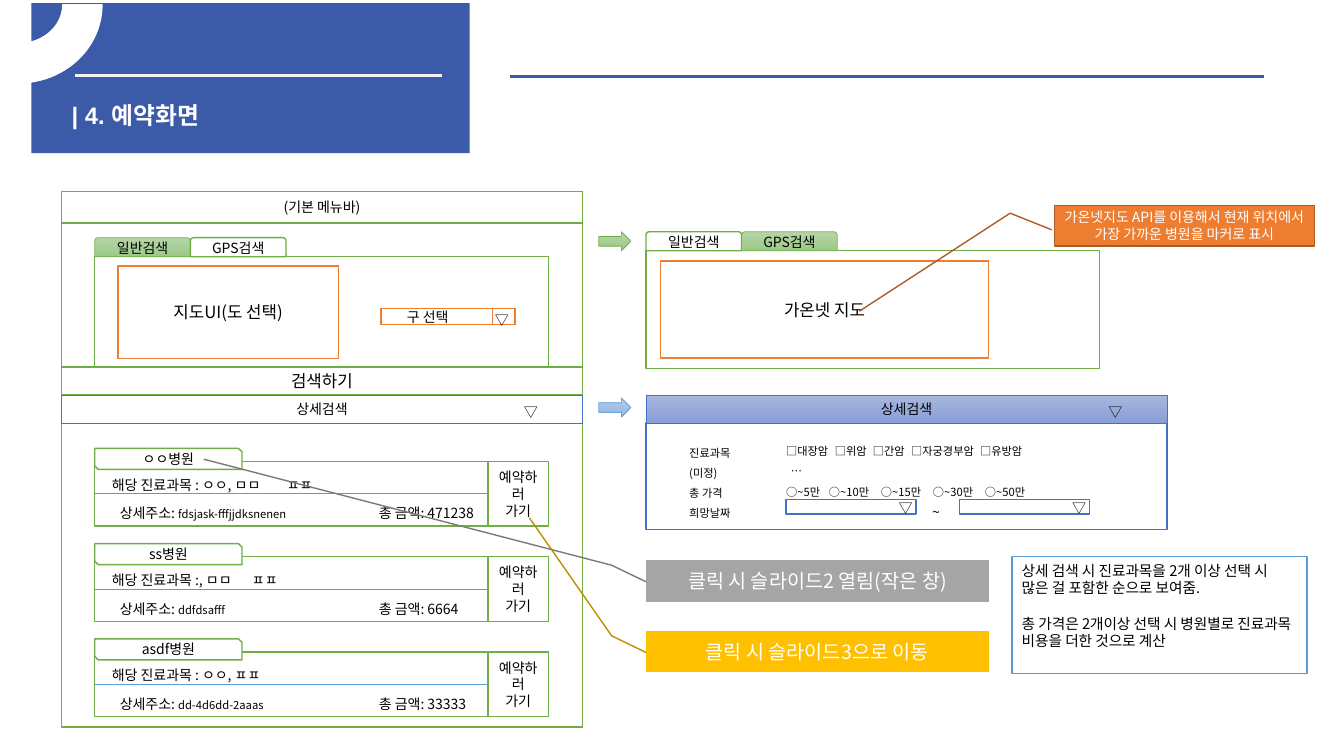
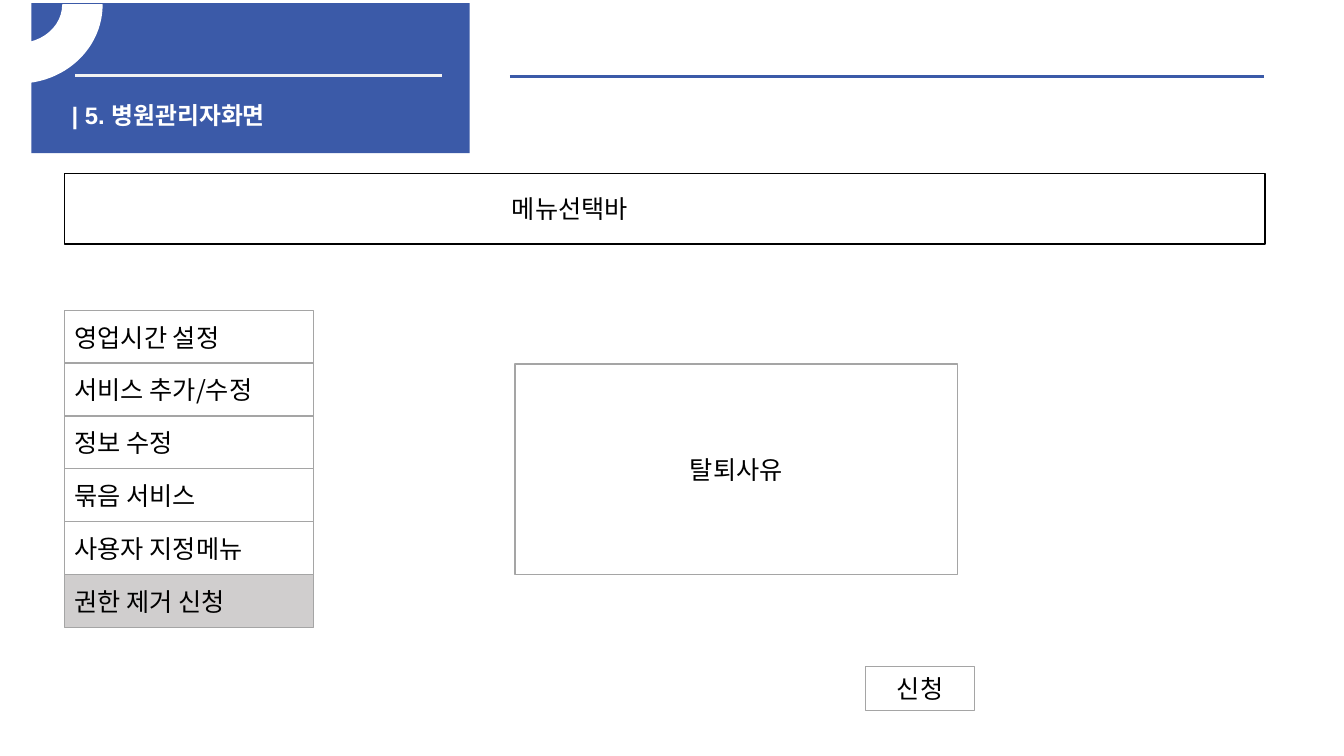
from dataclasses import dataclass

from lxml.etree import SubElement
from pptx import Presentation
from pptx.dml.color import RGBColor
from pptx.enum.shapes import MSO_CONNECTOR, MSO_SHAPE
from pptx.enum.text import MSO_ANCHOR, PP_ALIGN
from pptx.oxml.ns import qn
from pptx.util import Cm, Pt

BODY_FONT = "Noto Sans CJK KR"
TITLE_FONT = "Arial"
LINE_PITCH = 1.2

COLORS = {
    "band": "3B5AA8", "band_rule": "F2F2F2", "white": "FFFFFF", "black": "000000",
    "green": "70AD47", "blue": "4472C4", "sky": "5B9BD5", "orange": "ED7D31",
    "rust": "AF5C24", "gray": "A5A5A5", "dark_gray": "7A7A7A", "pale_gray": "D0CECE",
    "gold": "FFC000", "dark_gold": "BD8E00",
}
GRADIENTS = {
    "green_shade": ("B5D5A7", "9CC987"),
    "blue_shade": ("A8B7DF", "889ED7"),
    "sky_shade": ("B1CBE9", "93B9E4"),
}


@dataclass
class Box:
    """A rectangle in centimetres."""
    left: float
    top: float
    width: float
    height: float

    def inner(self, dx, dy, width, height):
        return Box(self.left + dx, self.top + dy, width, height)

    def lengths(self):
        return Cm(self.left), Cm(self.top), Cm(self.width), Cm(self.height)


def rgb(name):
    return RGBColor.from_string(COLORS[name])


def style_para(para, size, color="black", align=PP_ALIGN.LEFT, spacing=1.0):
    para.alignment = align
    para.line_spacing = Pt(size * LINE_PITCH * spacing)
    para.font.size = Pt(size)
    para.font.color.rgb = rgb(color)
    para.font.name = BODY_FONT
    properties = para._p.get_or_add_pPr().find(qn("a:defRPr"))
    SubElement(properties, qn("a:ea"), typeface=BODY_FONT)


def set_tabs(para, stops):
    """Put left tab stops, in centimetres, ahead of the paragraph's font."""
    properties = para._p.get_or_add_pPr()
    tabs = SubElement(properties, qn("a:tabLst"))
    for stop in stops:
        SubElement(tabs, qn("a:tab"), pos=str(int(Cm(stop))), algn="l")
    properties.find(qn("a:defRPr")).addprevious(tabs)


def fill_text(frame, lines, size, color="black", align=PP_ALIGN.LEFT, spacing=1.0):
    frame.word_wrap = True
    for index, line in enumerate(lines):
        para = frame.add_paragraph() if index else frame.paragraphs[0]
        para.add_run().text = line
        style_para(para, size, color, align, spacing)


def add_block(page, box, fill, line, text="", size=10, color="black",
              align=PP_ALIGN.CENTER, kind=MSO_SHAPE.RECTANGLE):
    shape = page.shapes.add_shape(kind, *box.lengths())
    shape.shadow.inherit = False
    if fill in GRADIENTS:
        shape.fill.gradient()
        shape.fill.gradient_angle = 270
        for stop, shade in zip(shape.fill.gradient_stops, GRADIENTS[fill]):
            stop.color.rgb = RGBColor.from_string(shade)
    else:
        shape.fill.solid()
        shape.fill.fore_color.rgb = rgb(fill)
    shape.line.color.rgb = rgb(line)
    shape.line.width = Pt(0.5 if fill in GRADIENTS else 1)
    if text:
        shape.text_frame.vertical_anchor = MSO_ANCHOR.MIDDLE
        fill_text(shape.text_frame, [text], size, color, align)
    return shape


def add_label(page, box, *lines, size=10, spacing=1.0):
    label = page.shapes.add_textbox(*box.lengths())
    fill_text(label.text_frame, lines, size, spacing=spacing)
    return label.text_frame.paragraphs


def add_rule(page, left, top, width, color, weight):
    rule = page.shapes.add_connector(
        MSO_CONNECTOR.STRAIGHT, Cm(left), Cm(top), Cm(left + width), Cm(top))
    rule.line.color.rgb = rgb(color)
    rule.line.width = Pt(weight)
    SubElement(rule._element.spPr, qn("a:effectLst"))


def add_callout(page, box, fill, line, text, size, leader, kind):
    callout = add_block(page, box, fill, line, text, size, "white", kind=kind)
    for index, value in enumerate(leader):
        callout.adjustments[index] = value


def add_header(page, box, text):
    band = add_block(page, box, "band", "band")
    band.line.fill.background()
    add_rule(page, box.left + 1.11, box.top + 1.82, 9.25, "band_rule", 2.25)
    add_rule(page, box.left + 12.06, box.top + 1.85, 19, "band", 2.25)
    ring = add_block(page, box.inner(-2.44, -1.93, 4.22, 3.94), "white", "white",
                     kind=MSO_SHAPE.BLOCK_ARC)
    for index, value in enumerate((0, 54, 0.25)):
        ring.adjustments[index] = value

    title = page.shapes.title
    page.shapes._spTree.append(title._element)
    title.left, title.top, title.width, title.height = box.inner(
        0.76, 2.33, 10, 0.99).lengths()
    title.text_frame.text = text
    title.text_frame.vertical_anchor = MSO_ANCHOR.MIDDLE
    para = title.text_frame.paragraphs[0]
    para.alignment = PP_ALIGN.LEFT
    para.font.size = Pt(17)
    para.font.bold = True
    para.font.name = TITLE_FONT
    para.font.color.rgb = rgb("white")


def add_tab_card(page, box, active, map_box, map_text):
    add_block(page, box.inner(0, 0.48, box.width, box.height - 0.48), "white", "green")
    for index, name in enumerate(("일반검색", "GPS검색")):
        add_block(page, box.inner(index * 2.41, 0, 2.41, 0.48),
                  "green_shade" if index == active else "white", "green", name,
                  kind=MSO_SHAPE.ROUND_2_SAME_RECTANGLE)
    add_block(page, map_box, "white", "orange", map_text, 12)


def add_district_select(page, box):
    field = add_block(page, box, "white", "orange", "구 선택")
    field.text_frame.margin_right = Cm(1.27)
    add_block(page, box.inner(2.82, 0, 0.56, box.height), "white", "orange")
    add_label(page, box.inner(2.62, -0.05, 0.86, 0.53), "▽")


def add_fold_bar(page, box, fill):
    add_block(page, box, fill, "blue", "상세검색")
    add_label(page, box.inner(11.4, 0.08, 0.86, 0.53), "▽")


def add_detail_form(page, box):
    add_block(page, box.inner(0, 0.7, box.width, box.height - 0.7), "white", "blue")
    add_fold_bar(page, box.inner(0, 0, box.width, 0.71), "blue_shade")
    add_label(page, box.inner(0.84, 0.98, 2.41, 2.31),
              "진료과목", "(미정)", "총 가격", "희망날짜", size=8, spacing=1.5)
    for dx in (3.53, 7.9):
        field = box.inner(dx, 2.63, 3.28, 0.36)
        add_block(page, field, "white", "blue")
        add_label(page, field.inner(2.59, -0.13, 1.12, 0.53), "▽")
    options = add_label(page, box.inner(3.28, 0.95, 9.22, 1.8),
                        "□대장암\t□위암\t□간암\t□자궁경부암\t□유방암",
                        "\t…",
                        "○~5만\t○~10만\t○~15만\t○~30만\t○~50만",
                        size=8, spacing=1.5)
    stops = ((1.23, 2.19, 3.15, 4.89), (0.12,), (1.08, 2.39, 3.7, 5.01))
    for para, para_stops in zip(options, stops):
        set_tabs(para, para_stops)
    add_label(page, box.inner(6.96, 2.6, 0.76, 0.53), "~")


def add_hospital(page, box, name, subjects, stop, address, amount):
    frame = box.inner(0, 0.33, box.width, box.height - 0.33)
    add_block(page, frame, "white", "green")
    add_block(page, frame.inner(9.91, 0, box.width - 9.91, frame.height),
              "white", "green", "예약하러 가기")
    add_block(page, box.inner(0, 0, 3.71, 0.53), "white", "green", name,
              kind=MSO_SHAPE.SNIP_2_DIAG_RECTANGLE)
    add_rule(page, box.left, box.top + 1.14, 9.91, "sky", 0.5)
    add_label(page, box.inner(6.91, 1.3, 3.35, 0.53), f"총 금액: {amount}")
    subject_line = add_label(page, box.inner(0.18, 0.58, 9.73, 0.53),
                             f"해당 진료과목 {subjects}")[0]
    set_tabs(subject_line, [stop])
    address_line = add_label(page, box.inner(0.38, 1.3, 5.36, 0.53), "상세주소: ")[0]
    span = address_line.add_run()
    span.text = address
    span.font.size = Pt(8)


def add_search_panel(page, box):
    add_block(page, box, "white", "green")
    add_block(page, box.inner(0, 0, box.width, 0.79), "white", "green", "(기본 메뉴바)")
    card = box.inner(0.84, 1.16, 11.43, 3.25)
    add_tab_card(page, card, 0, card.inner(0.58, 0.71, 5.56, 2.34), "지도UI(도 선택)")
    add_district_select(page, card.inner(7.21, 1.78, 3.38, 0.41))
    add_block(page, box.inner(0, 4.42, box.width, 0.69), "white", "green", "검색하기", 12)
    add_fold_bar(page, box.inner(0, 5.13, box.width, 0.71), "white")
    hospitals = (
        ("ㅇㅇ병원", ": ㅇㅇ, ㅁㅁ\tㅍㅍ", 4.41, "fdsjask-fffjjdksnenen", "471238"),
        ("ss병원", ":, ㅁㅁ\tㅍㅍ", 3.53, "ddfdsafff", "6664"),
        ("asdf병원", ": ㅇㅇ, ㅍㅍ", 4.41, "dd-4d6dd-2aaas", "33333"),
    )
    for index, hospital in enumerate(hospitals):
        add_hospital(page, box.inner(0.84, 6.47 + index * 2.4, 11.43, 1.96), *hospital)


def add_note(page, box):
    note = add_block(page, box, "white", "sky")
    note.text_frame.vertical_anchor = MSO_ANCHOR.TOP
    fill_text(note.text_frame, (
        "상세 검색 시 진료과목을 2개 이상 선택 시 많은 걸 포함한 순으로 보여줌.",
        "총 가격은 2개이상 선택 시 병원별로 진료과목 비용을 더한 것으로 계산"), 10.5)
    note.text_frame.paragraphs[1].space_before = Pt(10.5 * LINE_PITCH)


def build_booking(page):
    add_search_panel(page, Box(1.55, 4.83, 13.13, 13.49))
    for top, fill, line in ((5.84, "green_shade", "green"), (10.03, "sky_shade", "sky")):
        add_block(page, Box(15.09, top, 0.81, 0.48), fill, line,
                  kind=MSO_SHAPE.RIGHT_ARROW)
    card = Box(16.28, 5.84, 11.43, 3.45)
    add_tab_card(page, card, 1, card.inner(0.36, 0.74, 8.28, 2.44), "가온넷 지도")
    add_detail_form(page, Box(16.28, 9.96, 13.13, 3.38))
    add_callout(page, Box(16.28, 14.12, 8.64, 1.04), "gray", "dark_gray",
                "클릭 시 슬라이드2 열림(작은 창)", 14,
                (0.52, 0, 0.12, -0.1, -2.45, -1.29), MSO_SHAPE.LINE_CALLOUT_2_NO_BORDER)
    add_callout(page, Box(16.28, 15.9, 8.64, 1.04), "gold", "dark_gold",
                "클릭 시 슬라이드3으로 이동", 14,
                (0.52, 0, 0.12, -0.1, -2.74, -0.34), MSO_SHAPE.LINE_CALLOUT_2_NO_BORDER)
    add_note(page, Box(25.5, 14.02, 7.44, 2.95))
    add_callout(page, Box(26.57, 5.18, 6.55, 1.02), "orange", "rust",
                "가온넷지도 API를 이용해서 현재 위치에서 가장 가까운 병원을 마커로 표시", 10,
                (0.6, -0.01, 0.19, -0.17, 2.61, -0.75), MSO_SHAPE.LINE_CALLOUT_2)


def add_side_menu(page, box, names, selected):
    for index, name in enumerate(names):
        add_block(page, box.inner(0, index * 1.33, box.width, 1.35),
                  "pale_gray" if name == selected else "white", "gray", name, 18,
                  align=PP_ALIGN.LEFT)


def build_hospital_admin(page):
    menu_bar = Box(1.63, 4.37, 30.25, 1.78)
    add_block(page, menu_bar, "white", "black")
    add_label(page, menu_bar.inner(11.02, 0.38, 8, 1.02), "메뉴선택바", size=18)
    add_side_menu(page, Box(1.63, 7.82, 6.27, 8), (
        "영업시간 설정", "서비스 추가/수정", "정보 수정",
        "묶음 서비스", "사용자 지정메뉴", "권한 제거 신청"), "권한 제거 신청")
    add_block(page, Box(12.98, 9.17, 11.15, 5.31), "white", "gray", "탈퇴사유", 18)
    add_block(page, Box(21.82, 16.79, 2.74, 1.12), "white", "gray", "신청", 18)


def main():
    deck = Presentation()
    deck.slide_width, deck.slide_height = Cm(33.87), Cm(19.05)
    title_only = deck.slide_layouts[5]
    for title, build in (("| 4. 예약화면", build_booking),
                         ("| 5. 병원관리자화면", build_hospital_admin)):
        page = deck.slides.add_slide(title_only)
        add_header(page, Box(0.79, 0.08, 11.05, 3.78), title)
        build(page)
    deck.save("out.pptx")


if __name__ == "__main__":
    main()
